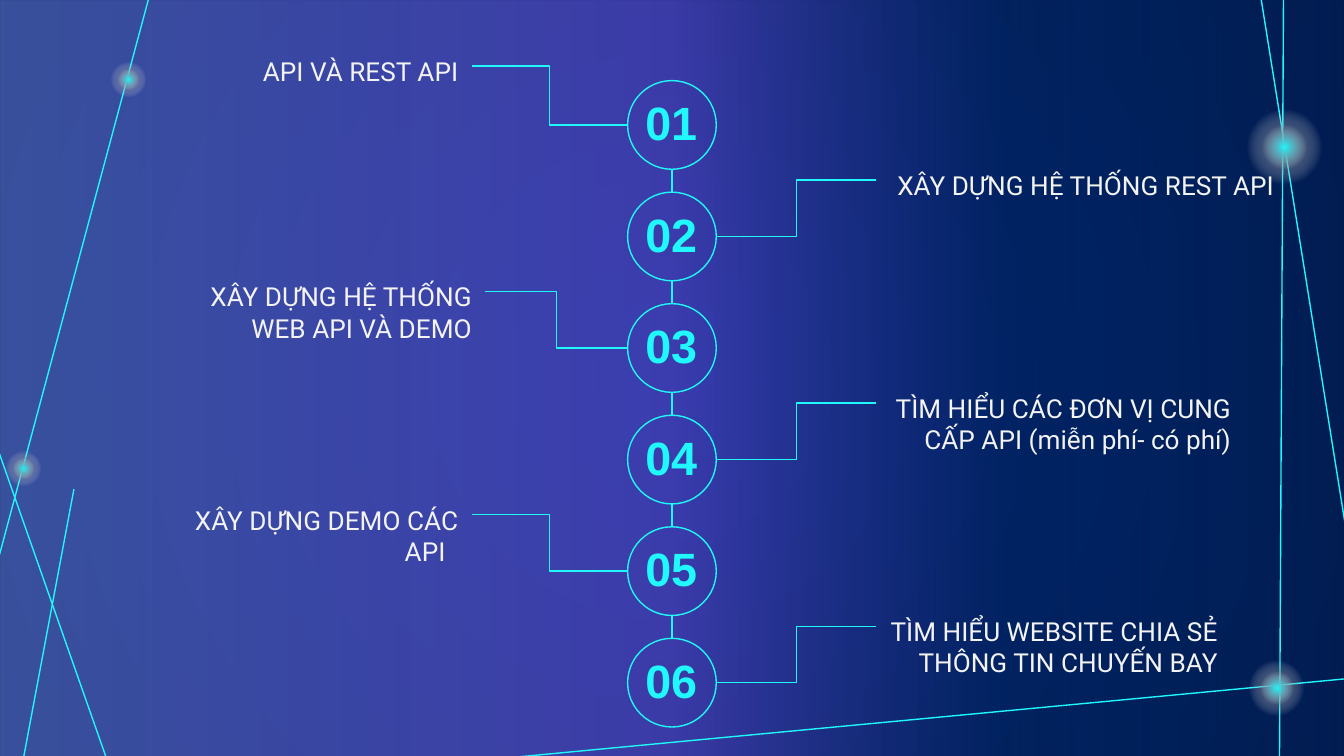
from dataclasses import dataclass

from lxml import etree
from pptx import Presentation, util as u
from pptx.dml.color import RGBColor
from pptx.enum import shapes, text
from pptx.oxml import parse_xml
from pptx.oxml.ns import nsdecls, qn


@dataclass(frozen=True)
class Theme:
    accent: str = "20F8FD"
    light: str = "F3F3F3"
    navy: str = "00183A"
    blue: str = "012060"
    violet: str = "7659FF"
    periwinkle: str = "748BFF"
    royal: str = "022E88"
    number_font: str = "Arial"
    number_size: float = 25
    label_font: str = "Roboto"
    label_size: float = 14
    line_width: float = 0.75


THEME = Theme()
WIDTH = 10
HEIGHT = WIDTH * 9 / 16

# Background lines: start and end
RAYS = [
    (9.38, -0.03, 10.02, 3.97),
    (9.55, -0.06, 9.52, 5.73),
    (3.77, 5.64, 10.13, 5.04),
    (-0.01, 3.36, 0.83, 5.75),
    (0.16, 5.72, 0.55, 3.64),
    (1.13, -0.1, -0.01, 4.15),
]
# Glowing points: left, top and diameter
STARS = [(9.16, 0.7, 0.79), (9.21, 4.83, 0.58), (-0.01, 3.3, 0.37), (0.77, 0.41, 0.37)]
CORE_SHARE = 0.6

# Agenda entries: label, label width, gap beside the column, branch rise
ENTRIES = [
    ("API VÀ REST API", 3.06, 1.16, 0.44),
    ("XÂY DỰNG HỆ THỐNG REST API", 3.06, 1.19, 0.42),
    ("XÂY DỰNG HỆ THỐNG WEB API VÀ DEMO", 2.46, 1.06, 0.42),
    ("TÌM HIỂU CÁC ĐƠN VỊ CUNG CẤP API (miễn phí- có phí)", 2.74, 1.19, 0.42),
    ("XÂY DỰNG DEMO CÁC API  ", 2.46, 1.16, 0.42),
    ("TÌM HIỂU WEBSITE CHIA SẺ THÔNG TIN CHUYẾN BAY", 2.64, 1.19, 0.42),
]


def inches(*lengths):
    return [u.Inches(length) for length in lengths]


def set_gradient(owner, fill, stops, radial=True):
    """Replace the fill of owner with stops of (position, colour, opacity)."""
    fill.solid()
    solid = next(owner.iter(qn("a:solidFill")))
    stop_xml = "".join(
        f'<a:gs pos="{position * 1000}"><a:srgbClr val="{colour}">'
        f'<a:alpha val="{opacity * 1000}"/></a:srgbClr></a:gs>'
        for position, colour, opacity in stops
    )
    direction = (
        '<a:path path="circle"><a:fillToRect l="50000" t="50000" r="50000" b="50000"/></a:path>'
        if radial else '<a:lin ang="0" scaled="0"/>'
    )
    solid.getparent().replace(solid, parse_xml(
        f'<a:gradFill {nsdecls("a")} rotWithShape="1"><a:gsLst>{stop_xml}</a:gsLst>'
        f"{direction}</a:gradFill>"
    ))


def style_line(shape):
    shape.line.color.rgb = RGBColor.from_string(THEME.accent)
    shape.line.width = u.Pt(THEME.line_width)


def add_line(slide, ends, kind=shapes.MSO_CONNECTOR.STRAIGHT):
    connector = slide.shapes.add_connector(kind, *inches(*ends))
    style_line(connector)
    etree.SubElement(connector._element.spPr, qn("a:effectLst"))


def add_shape(slide, kind, box):
    shape = slide.shapes.add_shape(kind, *inches(*box))
    shape.shadow.inherit = False
    return shape


def add_circle(slide, x, y, diameter):
    box = (x - diameter / 2, y - diameter / 2, diameter, diameter)
    return add_shape(slide, shapes.MSO_SHAPE.OVAL, box)


def add_text(slide, box, content, align, font):
    frame = slide.shapes.add_textbox(*inches(*box)).text_frame
    layout = {"word_wrap": True, "vertical_anchor": text.MSO_ANCHOR.TOP}
    for side in ("left", "right", "top", "bottom"):
        layout[f"margin_{side}"] = u.Inches(0.1)
    for name, value in layout.items():
        setattr(frame, name, value)
    paragraph = frame.paragraphs[0]
    paragraph.alignment = align
    run = paragraph.add_run()
    run.text = content
    for name, value in font.items():
        if name == "color":
            run.font.color.rgb = RGBColor.from_string(value)
        else:
            setattr(run.font, name, value)


def draw_backdrop(slide, box):
    set_gradient(slide.element, slide.background.fill,
                 [(0, THEME.blue, 100), (100, THEME.navy, 100)])
    # Colour wash
    wash = add_shape(slide, shapes.MSO_SHAPE.RECTANGLE, box)
    set_gradient(wash._element.spPr, wash.fill, [
        (0, THEME.periwinkle, 49), (50, THEME.violet, 50),
        (75, THEME.royal, 35), (100, THEME.blue, 60),
    ], radial=False)
    wash.line.fill.background()
    # Constellation
    left, top = box[:2]
    for x1, y1, x2, y2 in RAYS:
        add_line(slide, (left + x1, top + y1, left + x2, top + y2))
    for x, y, diameter in STARS:
        radius = diameter / 2
        for share, colour in ((1, THEME.navy), (CORE_SHARE, THEME.accent)):
            glow = add_circle(slide, left + x + radius, top + y + radius, diameter * share)
            set_gradient(glow._element.spPr, glow.fill, [
                (0, colour, 100), (50, THEME.light, 0), (100, THEME.light, 0),
            ])
            glow.line.fill.background()


def draw_agenda(slide, box):
    """Stack numbered circles in the box; labels alternate left and right."""
    left, top, diameter, height = box
    pitch = (height - diameter) / (len(ENTRIES) - 1)
    center_x = left + diameter / 2
    number_font = {"name": THEME.number_font, "size": u.Pt(THEME.number_size),
                   "bold": True, "color": THEME.accent}
    label_font = {"name": THEME.label_font, "size": u.Pt(THEME.label_size),
                  "color": THEME.light}

    for index, (label, label_width, gap, rise) in enumerate(ENTRIES):
        row_top = top + index * pitch
        center_y = row_top + diameter / 2
        branch_y = center_y - rise

        # Numbered circle and link to the next one
        circle = add_circle(slide, center_x, center_y, diameter)
        circle.fill.background()
        style_line(circle)
        add_text(slide, (left + 0.01, row_top, 0.63, 0.58), f"{index + 1:02}",
                 text.PP_ALIGN.CENTER, number_font)
        if index < len(ENTRIES) - 1:
            add_line(slide, (center_x, row_top + diameter, center_x, row_top + pitch))

        # Branch and label
        if index % 2 == 0:
            branch_x = left - gap
            ends = (branch_x, branch_y, left, center_y)
            label_left = branch_x - label_width
        else:
            label_left = left + diameter + gap
            ends = (left + diameter, center_y, label_left, branch_y)
        add_line(slide, ends, shapes.MSO_CONNECTOR.ELBOW)
        add_text(slide, (label_left, branch_y - 0.18, label_width, 0.37), label,
                 text.PP_ALIGN.RIGHT, label_font)


def main():
    presentation = Presentation()
    presentation.slide_width, presentation.slide_height = inches(WIDTH, HEIGHT)
    slide = presentation.slides.add_slide(presentation.slide_layouts[6])
    draw_backdrop(slide, (0, 0, WIDTH, HEIGHT))
    draw_agenda(slide, (4.67, 0.6, 0.66, 4.81))
    presentation.save("out.pptx")


if __name__ == "__main__":
    main()
